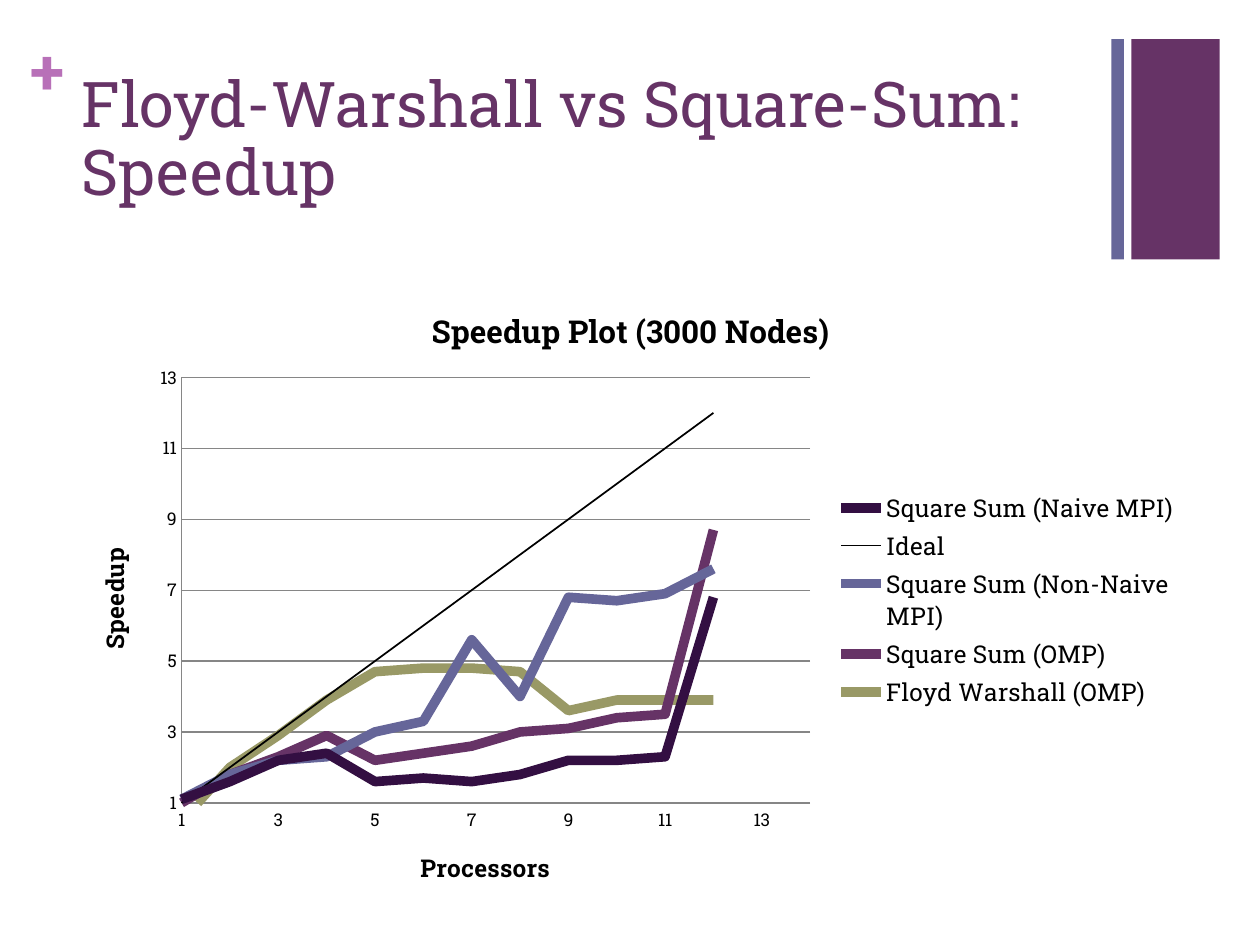
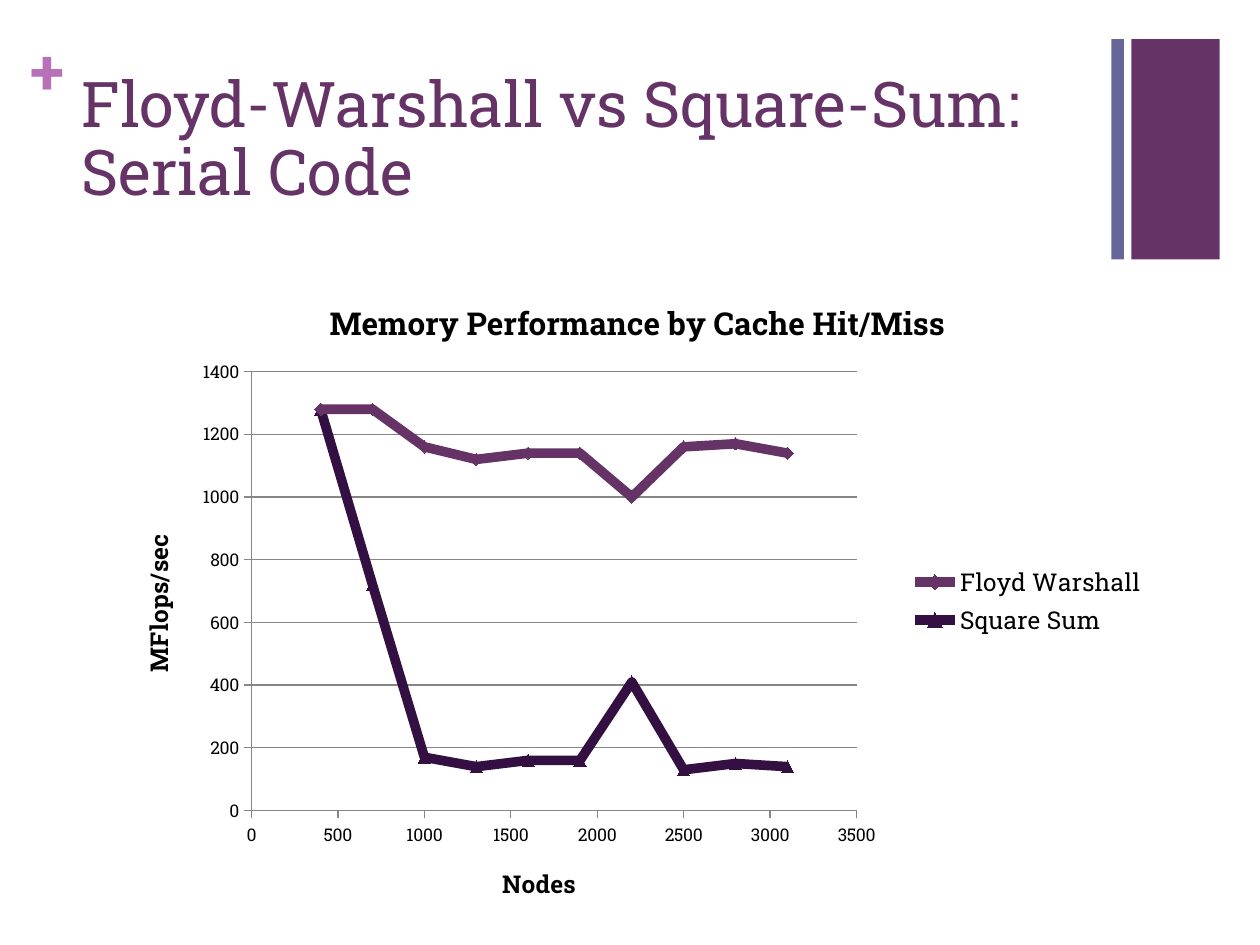
"""Build two slides comparing Floyd-Warshall and Square-Sum performance."""
import pptx
import pptx.chart.data
import pptx.dml.color
import pptx.enum.chart
import pptx.enum.shapes
import pptx.enum.text
import pptx.oxml
import pptx.oxml.ns
import pptx.util
from pptx.util import Inches

FONT = "Roboto Slab"
COLORS = {
    "plum": "663366",
    "slate": "666699",
    "orchid": "B870B8",
    "aubergine": "330F42",
    "olive": "999966",
    "black": "000000",
    "grid": "868686",
}
PROCESSORS = range(1, 13)
SPEEDUPS = [
    ("Square Sum (Naive MPI)", "aubergine", 5.5, None,
     [1.1, 1.6, 2.2, 2.4, 1.6, 1.7, 1.6, 1.8, 2.2, 2.2, 2.3, 6.8]),
    ("Ideal", "black", 1, None, PROCESSORS),
    ("Square Sum (Non-Naive MPI)", "slate", 5.5, None,
     [1.1, 1.8, 2.2, 2.3, 3, 3.3, 5.6, 4, 6.8, 6.7, 6.9, 7.6]),
    ("Square Sum (OMP)", "plum", 5.5, None,
     [1, 1.8, 2.3, 2.9, 2.2, 2.4, 2.6, 3, 3.1, 3.4, 3.5, 8.7]),
    ("Floyd Warshall (OMP)", "olive", 5.5, None,
     [0.5, 2, 2.9, 3.9, 4.7, 4.8, 4.8, 4.7, 3.6, 3.9, 3.9, 3.9]),
]
NODES = range(400, 3101, 300)
MARKERS = pptx.enum.chart.XL_MARKER_STYLE
MEMORY_RATES = [
    ("Floyd Warshall", "plum", 5.5, MARKERS.DIAMOND,
     [1280, 1280, 1160, 1120, 1140, 1140, 1000, 1160, 1170, 1140]),
    ("Square Sum", "aubergine", 5.5, MARKERS.TRIANGLE,
     [1280, 720, 170, 140, 160, 160, 410, 130, 150, 140]),
]


def color(name):
    return pptx.dml.color.RGBColor.from_string(COLORS[name])


def style_font(font, size, ink="black", bold=False):
    font.name = FONT
    font.size = pptx.util.Pt(size)
    font.bold = bold
    font.color.rgb = color(ink)


def add_band(slide, left, width, ink):
    band = slide.shapes.add_shape(
        pptx.enum.shapes.MSO_SHAPE.RECTANGLE,
        Inches(left), Inches(0.31), Inches(width), Inches(1.75))
    band.shadow.inherit = False
    band.fill.solid()
    band.fill.fore_color.rgb = color(ink)
    band.line.fill.background()


def add_plus(slide):
    plus = slide.shapes.add_textbox(
        Inches(0.24), Inches(0.25), Inches(0.29), Inches(0.61))
    frame = plus.text_frame
    frame.margin_left = frame.margin_right = 0
    frame.margin_top = frame.margin_bottom = 0
    frame.text = "+"
    style_font(frame.paragraphs[0].font, 36, "orchid", True)


def add_titled_slide(deck, heading):
    slide = deck.slides.add_slide(deck.slide_layouts[5])
    add_band(slide, 8.98, 0.7, "plum")
    add_plus(slide)
    add_band(slide, 8.82, 0.1, "slate")
    title = slide.shapes.title
    title.left, title.top = Inches(0.55), Inches(0.53)
    title.width, title.height = Inches(8.26), Inches(1.22)
    frame = title.text_frame
    frame.text = heading
    frame.word_wrap = True
    frame.auto_size = pptx.enum.text.MSO_AUTO_SIZE.NONE
    frame.vertical_anchor = pptx.enum.text.MSO_ANCHOR.TOP
    paragraph = frame.paragraphs[0]
    paragraph.alignment = pptx.enum.text.PP_ALIGN.LEFT
    paragraph.line_spacing = 0.9
    style_font(paragraph.font, 36, "plum")
    return slide


def style_axis(axis, caption, scale, tick):
    axis.minimum_scale, axis.maximum_scale, axis.major_unit = scale
    axis.major_tick_mark = tick
    axis.minor_tick_mark = pptx.enum.chart.XL_TICK_MARK.NONE
    axis.format.line.color.rgb = color("grid")
    style_font(axis.tick_labels.font, 10)
    frame = axis.axis_title.text_frame
    frame.text = caption
    style_font(frame.paragraphs[0].font, 14, bold=True)


def place_plot(chart, x, y, w, h):
    """Fix the inner plot area, in fractions of the chart."""
    plot_area = chart.element.find(".//" + pptx.oxml.ns.qn("c:plotArea"))
    for layout in plot_area.findall(pptx.oxml.ns.qn("c:layout")):
        plot_area.remove(layout)
    plot_area.insert(0, pptx.oxml.parse_xml(
        f'<c:layout {pptx.oxml.ns.nsdecls("c")}><c:manualLayout>'
        '<c:layoutTarget val="inner"/><c:xMode val="edge"/><c:yMode val="edge"/>'
        f'<c:x val="{x}"/><c:y val="{y}"/><c:w val="{w}"/><c:h val="{h}"/>'
        '</c:manualLayout></c:layout>'))


def style_curve(curve, ink, width, marker):
    curve.smooth = False
    curve.format.line.color.rgb = color(ink)
    curve.format.line.width = pptx.util.Pt(width)
    curve.marker.style = marker or MARKERS.NONE
    if marker:
        curve.marker.size = 7
        curve.marker.format.fill.solid()
        curve.marker.format.fill.fore_color.rgb = color(ink)
        curve.marker.format.line.color.rgb = color(ink)


def add_scatter(slide, box, caption, x_values, curves, x_axis, y_axis, tick, plot):
    data = pptx.chart.data.XyChartData()
    for name, _, _, _, y_values in curves:
        points = data.add_series(name)
        for x, y in zip(x_values, y_values):
            points.add_data_point(x, y)
    chart = slide.shapes.add_chart(
        pptx.enum.chart.XL_CHART_TYPE.XY_SCATTER_LINES,
        *map(Inches, box), data).chart
    style_font(chart.font, 10)
    chart.has_title = True
    chart.chart_title.text_frame.text = caption
    style_font(chart.chart_title.text_frame.paragraphs[0].font, 18, bold=True)
    chart.has_legend = True
    chart.legend.position = pptx.enum.chart.XL_LEGEND_POSITION.RIGHT
    chart.legend.include_in_layout = False
    style_font(chart.legend.font, 14)
    chart.plots[0].vary_by_categories = False
    style_axis(chart.category_axis, *x_axis, tick)
    style_axis(chart.value_axis, *y_axis, tick)
    chart.category_axis.has_major_gridlines = False
    chart.value_axis.has_major_gridlines = True
    chart.value_axis.major_gridlines.format.line.color.rgb = color("grid")
    for curve, (_, ink, width, marker, _) in zip(chart.plots[0].series, curves):
        style_curve(curve, ink, width, marker)
    place_plot(chart, *plot)


def main():
    deck = pptx.Presentation()
    deck.slide_width, deck.slide_height = Inches(10), Inches(7.5)
    ticks = pptx.enum.chart.XL_TICK_MARK

    speedup = add_titled_slide(deck, "Floyd-Warshall vs Square-Sum: Speedup")
    add_scatter(speedup, (0.55, 2.24, 8.91, 5.04), "Speedup Plot (3000 Nodes)",
                PROCESSORS, SPEEDUPS, ("Processors", (1, 14, 2)),
                ("Speedup", (1, 13, 2)), ticks.NONE, (0.1, 0.15, 0.56, 0.67))

    serial = add_titled_slide(deck, "Floyd-Warshall vs Square-Sum: Serial Code")
    add_scatter(serial, (0.92, 2.17, 8.28, 5.2),
                "Memory Performance by Cache Hit/Miss",
                NODES, MEMORY_RATES, ("Nodes", (0, 3500, 500)),
                ("MFlops/sec", (0, 1400, 200)), ticks.OUTSIDE,
                (0.13, 0.15, 0.58, 0.67))
    deck.save("out.pptx")


if __name__ == "__main__":
    main()
